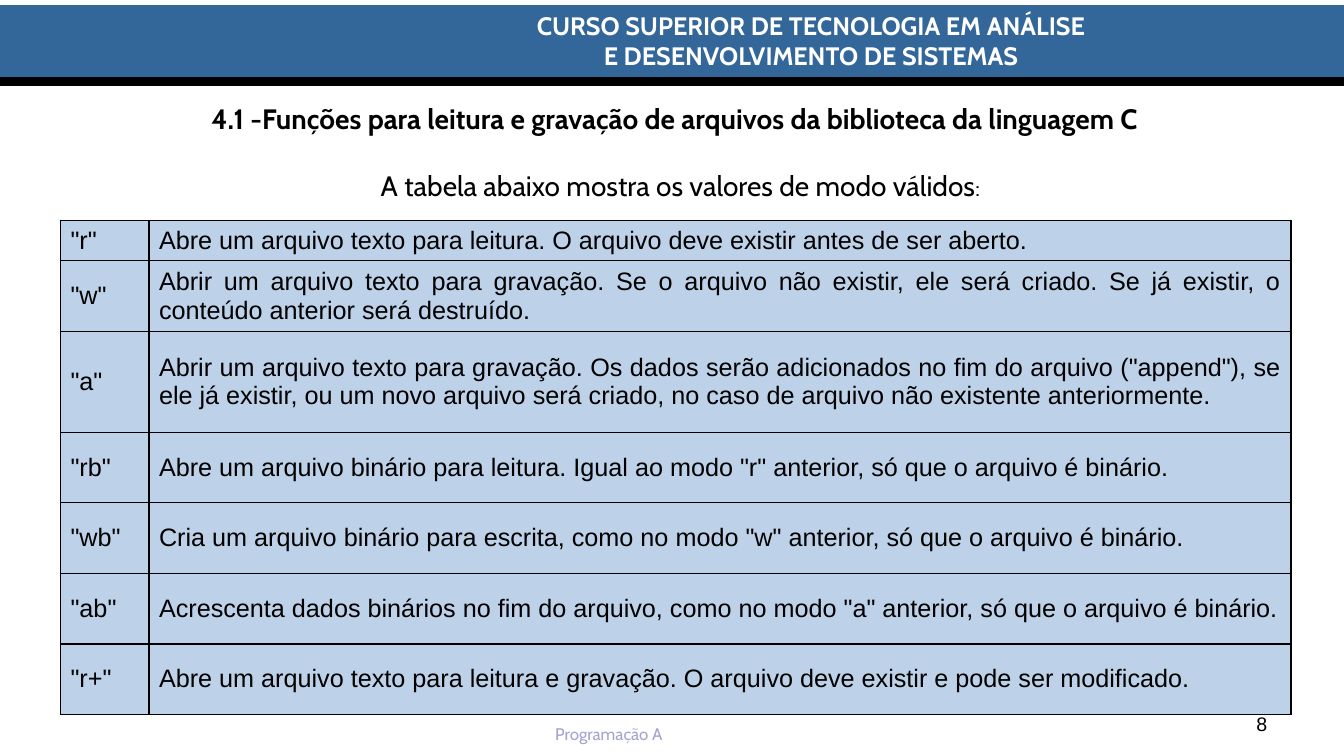
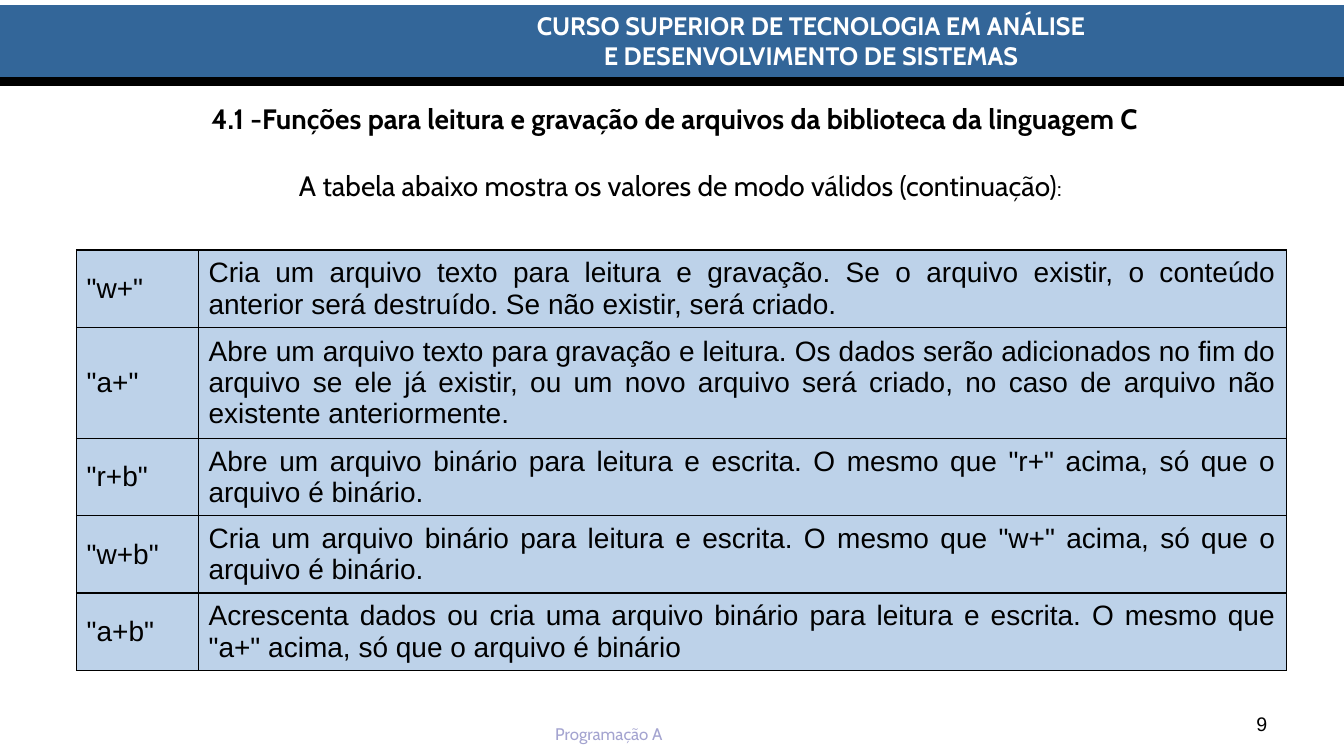
from dataclasses import dataclass

from lxml.etree import SubElement
from pptx import Presentation
from pptx.dml.color import RGBColor
from pptx.enum.shapes import MSO_CONNECTOR, MSO_SHAPE
from pptx.enum.text import MSO_ANCHOR, MSO_AUTO_SIZE, PP_ALIGN
from pptx.oxml.ns import qn
from pptx.slide import Slide
from pptx.table import _Cell
from pptx.text.text import TextFrame
from pptx.util import Pt


@dataclass(frozen=True)
class Theme:
    band: RGBColor = RGBColor(0x33, 0x66, 0x99)
    cell: RGBColor = RGBColor(0xBD, 0xD2, 0xE9)
    footer: RGBColor = RGBColor(0xA4, 0xA4, 0xD0)
    black: RGBColor = RGBColor(0, 0, 0)
    white: RGBColor = RGBColor(0xFF, 0xFF, 0xFF)
    heading_font: str = "Cabin"
    table_font: str = "Arial"
    title_size: int = 20
    header_size: int = 18
    colon_size: int = 16
    number_size: int = 14
    footer_size: int = 12


@dataclass(frozen=True)
class Box:
    left: float
    top: float
    width: float
    height: float

    def lengths(self) -> tuple[Pt, Pt, Pt, Pt]:
        return Pt(self.left), Pt(self.top), Pt(self.width), Pt(self.height)


@dataclass(frozen=True)
class Format:
    size: float
    color: RGBColor
    name: str
    bold: bool = False
    align: PP_ALIGN = PP_ALIGN.CENTER


@dataclass(frozen=True)
class ModeRow:
    mode: str
    meaning: str
    height: float


@dataclass(frozen=True)
class ModeSlide:
    number: int
    subtitle: str
    left: float
    top: float
    columns: tuple[float, float]
    text_size: float
    rows: tuple[ModeRow, ...]


THEME = Theme()
WIDTH, HEIGHT = 960, 540
TITLE = "4.1 -Funções para leitura e gravação de arquivos da biblioteca da linguagem C"
HEADER = ("CURSO SUPERIOR DE TECNOLOGIA EM ANÁLISE", "E DESENVOLVIMENTO DE SISTEMAS")

HEADER_FORMAT = Format(THEME.header_size, THEME.white, THEME.heading_font, bold=True)
TITLE_FORMAT = Format(THEME.title_size, THEME.black, THEME.heading_font, bold=True)
SUBTITLE_FORMAT = Format(THEME.title_size, THEME.black, THEME.heading_font)
FOOTER_FORMAT = Format(THEME.footer_size, THEME.footer, THEME.heading_font,
                       align=PP_ALIGN.LEFT)
NUMBER_FORMAT = Format(THEME.number_size, THEME.black, THEME.table_font,
                       align=PP_ALIGN.RIGHT)

SLIDES = (
    ModeSlide(8, "A tabela abaixo mostra os valores de modo válidos",
              43.2, 157.5, (63.2, 815.8), 18, (
        ModeRow('"r"', "Abre um arquivo texto para leitura. O arquivo deve existir "
                "antes de ser aberto.", 28.8),
        ModeRow('"w"', "Abrir um arquivo texto para gravação. Se o arquivo não existir, "
                "ele será criado. Se já existir, o conteúdo anterior será destruído.", 50.4),
        ModeRow('"a"', "Abrir um arquivo texto para gravação. Os dados serão adicionados "
                'no fim do arquivo ("append"), se ele já existir, ou um novo arquivo será '
                "criado, no caso de arquivo não existente anteriormente.", 72),
        ModeRow('"rb"', 'Abre um arquivo binário para leitura. Igual ao modo "r" anterior, '
                "só que o arquivo é binário.", 50.4),
        ModeRow('"wb"', 'Cria um arquivo binário para escrita, como no modo "w" anterior, '
                "só que o arquivo é binário.", 50.4),
        ModeRow('"ab"', "Acrescenta dados binários no fim do arquivo, como no modo "
                '"a" anterior, só que o arquivo é binário.', 50.4),
        ModeRow('"r+"', "Abre um arquivo texto para leitura e gravação. O arquivo deve "
                "existir e pode ser modificado.", 50.4),
    )),
    ModeSlide(9, "A tabela abaixo mostra os valores de modo válidos (continuação)",
              54.7, 178.6, (87.1, 776.9), 20, (
        ModeRow('"w+"', "Cria um arquivo texto para leitura e gravação. Se o arquivo "
                "existir, o conteúdo anterior será destruído. Se não existir, será "
                "criado.", 51.6),
        ModeRow('"a+"', "Abre um arquivo texto para gravação e leitura. Os dados serão "
                "adicionados no fim do arquivo se ele já existir, ou um novo arquivo será "
                "criado, no caso de arquivo não existente anteriormente.", 74.4),
        ModeRow('"r+b"', "Abre um arquivo binário para leitura e escrita. O mesmo que "
                '"r+" acima, só que o arquivo é binário.', 51.6),
        ModeRow('"w+b"', "Cria um arquivo binário para leitura e escrita. O mesmo que "
                '"w+" acima, só que o arquivo é binário.', 51.6),
        ModeRow('"a+b"', "Acrescenta dados ou cria uma arquivo binário para leitura e "
                'escrita. O mesmo que "a+" acima, só que o arquivo é binário', 51.6),
    )),
)


def write(tf: TextFrame, lines: tuple[str, ...], fmt: Format) -> None:
    """Fill a text frame with one formatted paragraph per line."""
    tf.word_wrap = True
    for i, line in enumerate(lines):
        p = tf.paragraphs[0] if i == 0 else tf.add_paragraph()
        p.alignment = fmt.align
        r = p.add_run()
        r.text = line
        for key, value in {"size": Pt(fmt.size), "name": fmt.name,
                           "bold": fmt.bold}.items():
            setattr(r.font, key, value)
        r.font.color.rgb = fmt.color


def add_text(s: Slide, box: Box, lines: tuple[str, ...], fmt: Format,
             anchor: MSO_ANCHOR = MSO_ANCHOR.TOP) -> TextFrame:
    tf = s.shapes.add_textbox(*box.lengths()).text_frame
    tf.vertical_anchor = anchor
    write(tf, lines, fmt)
    return tf


def add_frame(s: Slide, number: int) -> None:
    """Draw the header band, rule, footer and slide number."""
    band = s.shapes.add_shape(MSO_SHAPE.RECTANGLE, *Box(0, 3.6, WIDTH, 56.9).lengths())
    band.shadow.inherit = False
    band.fill.solid()
    band.fill.fore_color.rgb = THEME.band
    band.line.fill.background()

    add_text(s, Box(389.5, 513.4, 96, 21.6), ("Programação A",), FOOTER_FORMAT)
    add_text(s, Box(207, 3.6, 744.5, 51), HEADER, HEADER_FORMAT)

    rule = s.shapes.add_connector(MSO_CONNECTOR.STRAIGHT, Pt(0), Pt(58.3),
                                  Pt(WIDTH), Pt(58.3))
    rule.line.color.rgb = THEME.black
    rule.line.width = Pt(6)
    SubElement(rule._element.spPr, qn("a:effectLst"))

    add_text(s, Box(688.3, 491.8, 224, 37.4), (str(number),), NUMBER_FORMAT,
             MSO_ANCHOR.BOTTOM)


def add_title(s: Slide) -> None:
    title = s.shapes.title
    for key, value in zip(("left", "top", "width", "height"),
                          Box(50, 30.2, 864, 108).lengths()):
        setattr(title, key, value)
    tf = title.text_frame
    tf.auto_size = MSO_AUTO_SIZE.NONE
    tf.vertical_anchor = MSO_ANCHOR.MIDDLE
    write(tf, (TITLE,), TITLE_FORMAT)


def add_subtitle(s: Slide, text: str) -> None:
    tf = add_text(s, Box(160, 116.6, 652, 34), (text,), SUBTITLE_FORMAT)
    colon = tf.paragraphs[0].add_run()
    colon.text = ":"
    colon.font.size = Pt(THEME.colon_size)
    colon.font.name = THEME.heading_font
    colon.font.color.rgb = THEME.black


def add_borders(cell: _Cell) -> None:
    tc_pr = cell._tc.get_or_add_tcPr()
    for side in ("lnL", "lnR", "lnT", "lnB"):
        ln = SubElement(tc_pr, qn(f"a:{side}"), w=str(Pt(1)))
        fill = SubElement(ln, qn("a:solidFill"))
        SubElement(fill, qn("a:srgbClr"), val=str(THEME.black))


def add_mode_table(s: Slide, data: ModeSlide) -> None:
    box = Box(data.left, data.top, sum(data.columns), sum(r.height for r in data.rows))
    table = s.shapes.add_table(len(data.rows), len(data.columns), *box.lengths()).table
    table.first_row = table.horz_banding = False
    for column, width in zip(table.columns, data.columns):
        column.width = Pt(width)
    fmt = Format(data.text_size, THEME.black, THEME.table_font, align=PP_ALIGN.JUSTIFY)
    for row, mode_row in zip(table.rows, data.rows):
        row.height = Pt(mode_row.height)
        for cell, text in zip(row.cells, (mode_row.mode, mode_row.meaning)):
            add_borders(cell)
            cell.fill.solid()
            cell.fill.fore_color.rgb = THEME.cell
            cell.vertical_anchor = MSO_ANCHOR.MIDDLE
            write(cell.text_frame, (text,), fmt)


def main() -> None:
    prs = Presentation()
    prs.slide_width, prs.slide_height = Pt(WIDTH), Pt(HEIGHT)
    title_only = prs.slide_layouts.get_by_name("Title Only")
    for data in SLIDES:
        s = prs.slides.add_slide(title_only)
        add_frame(s, data.number)
        add_title(s)
        add_subtitle(s, data.subtitle)
        add_mode_table(s, data)
    prs.save("out.pptx")


if __name__ == "__main__":
    main()
